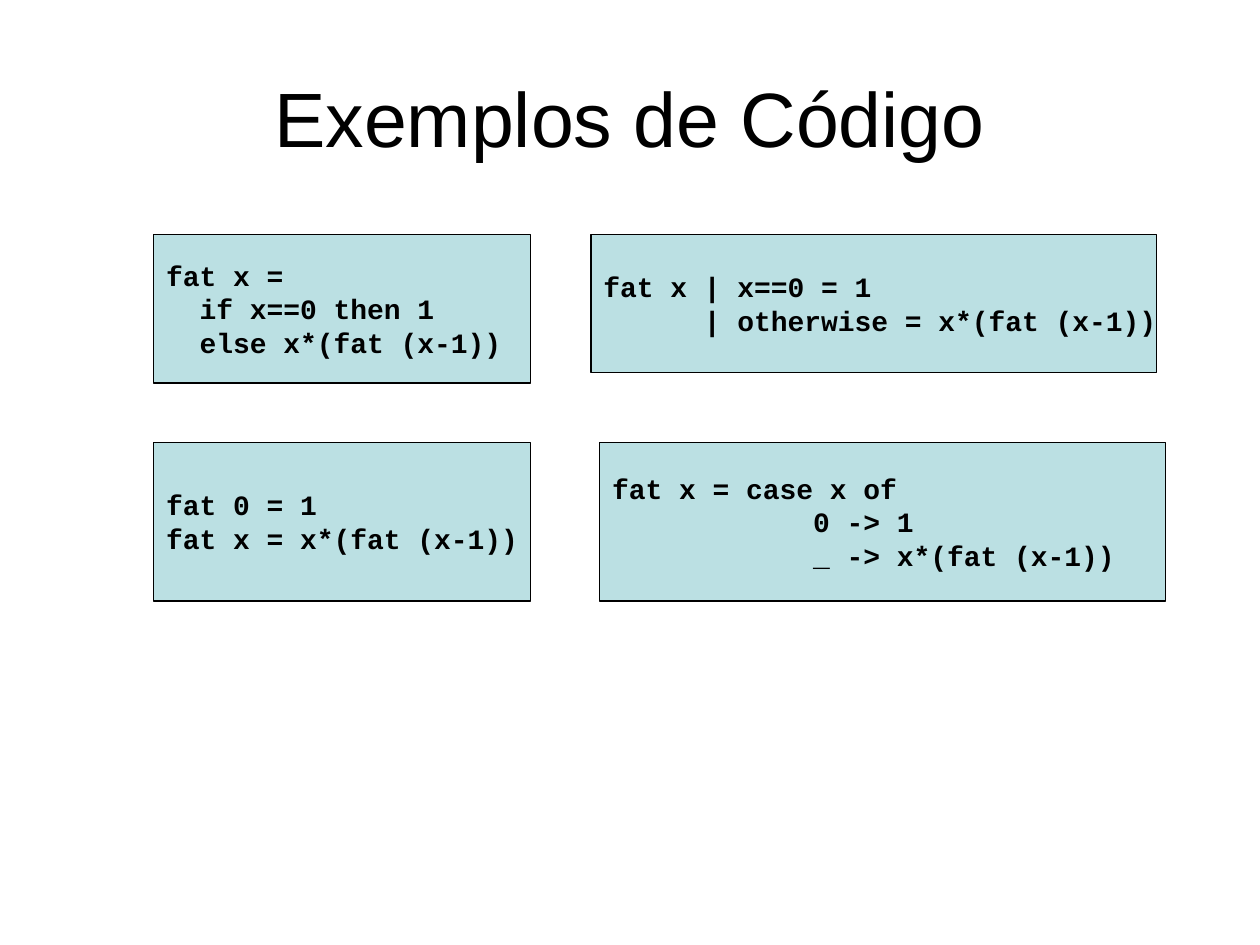
from pptx import Presentation
from pptx.dml.color import RGBColor
from pptx.enum.shapes import MSO_SHAPE as Shape
from pptx.enum.text import MSO_ANCHOR as Anchor, PP_ALIGN as Align
from pptx.util import Inches, Pt

COLS, ROWS = 100, 75


def rgb(value):
    return RGBColor.from_string(value)


class CodeDeck:
    """Holds the style and the current slide; places are in grid columns and rows."""
    ink, panel = "000000", "BBE0E3"
    title_font, code_font = "Arial", "Courier New"
    title_size, code_size = 44, 16

    def __init__(self):
        self.prs = Presentation()
        self.prs.slide_width, self.prs.slide_height = Inches(10), Inches(7.5)
        self.slide = self.prs.slides.add_slide(self.prs.slide_layouts[5])

    def box(self, col, row, cols, rows):
        """Turn grid units into left, top, width and height."""
        dx, dy = self.prs.slide_width / COLS, self.prs.slide_height / ROWS
        return [round(v) for v in (col * dx, row * dy, cols * dx, rows * dy)]

    def set_text(self, tf, text, font, size, align, bold=False):
        tf.text = text
        tf.vertical_anchor = Anchor.MIDDLE
        for p in tf.paragraphs:
            p.alignment = align
            for r in p.runs:
                r.font.name, r.font.size, r.font.bold = font, Pt(size), bold
                r.font.color.rgb = rgb(self.ink)

    def title(self, text, *place):
        sp = self.slide.shapes.title
        sp.left, sp.top, sp.width, sp.height = self.box(*place)
        self.set_text(sp.text_frame, text, self.title_font, self.title_size, Align.CENTER)

    def code(self, lines, *place):
        sp = self.slide.shapes.add_shape(Shape.RECTANGLE, *self.box(*place))
        sp.shadow.inherit = False
        sp.fill.solid()
        sp.fill.fore_color.rgb = rgb(self.panel)
        sp.line.color.rgb = rgb(self.ink)
        sp.line.width = Pt(0.75)
        sp.text_frame.word_wrap = False
        self.set_text(sp.text_frame, "\n".join(lines), self.code_font, self.code_size,
                      Align.LEFT, bold=True)


def main():
    deck = CodeDeck()
    deck.title("Exemplos de Código", 5, 3, 90, 12.5)

    left, narrow, wide = 12.2, 29.9, 44.9
    top, bottom, tall = 18.6, 35.1, 12.6
    deck.code(["fat x =",
               "  if x==0 then 1",
               "  else x*(fat (x-1))"], left, top, narrow, 11.8)
    deck.code(["fat x | x==0 = 1",
               "      | otherwise = x*(fat (x-1))"], 46.9, top, wide, 11)
    deck.code(["fat 0 = 1",
               "fat x = x*(fat (x-1))"], left, bottom, narrow, tall)
    deck.code(["fat x = case x of",
               "            0 -> 1",
               "            _ -> x*(fat (x-1))"], 47.6, bottom, wide, tall)
    deck.prs.save("out.pptx")


if __name__ == "__main__":
    main()
